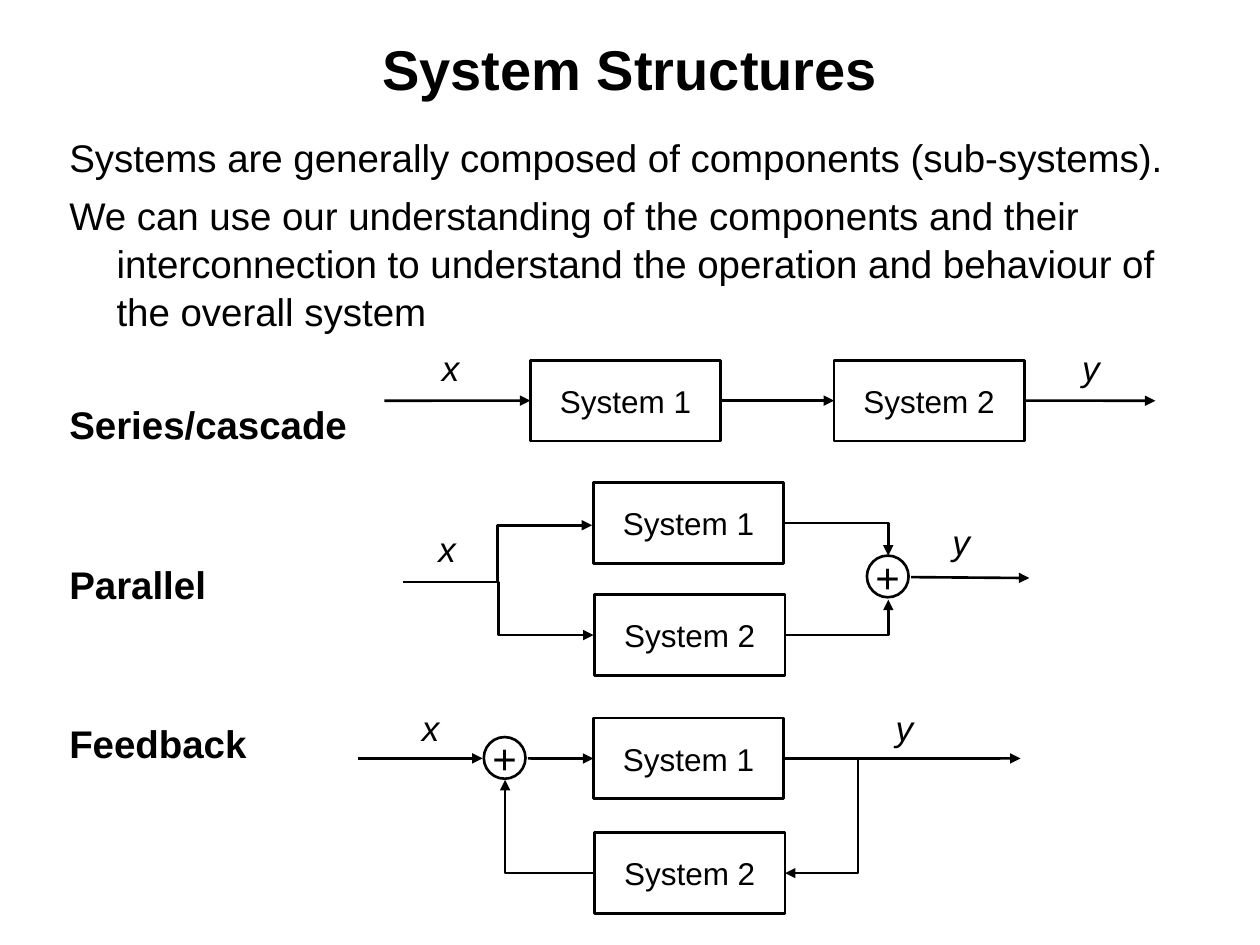
from lxml import etree
from pptx import Presentation
from pptx.dml.color import RGBColor
from pptx.enum import shapes, text
from pptx.oxml import ns
from pptx.util import Pt

COLORS = {"ink": "000000", "paper": "FFFFFF"}
INK = RGBColor.from_string(COLORS["ink"])
FONT = "Arial"
BOX_W, BOX_H, SUM_D = 108.7, 46.1, 23.8
LEFT, RIGHT = 1, 3  # connection sites of a rectangle


def write(para, words, size, bold=False, italic=False):
    span = para.add_run()
    span.text = words
    span.font.name, span.font.size = FONT, Pt(size)
    span.font.bold, span.font.italic = bold, italic
    span.font.color.rgb = INK


def add_node(kind, x, y, w, h, words, size):
    node = page.shapes.add_shape(kind, Pt(x), Pt(y), Pt(w), Pt(h))
    node.shadow.inherit = False
    node.fill.background()
    node.line.color.rgb, node.line.width = INK, Pt(1.5)
    frame = node.text_frame
    frame.word_wrap = False
    frame.vertical_anchor = text.MSO_ANCHOR.MIDDLE
    frame.paragraphs[0].alignment = text.PP_ALIGN.CENTER
    write(frame.paragraphs[0], words, size)
    return node


deck = Presentation()
deck.slide_width, deck.slide_height = Pt(720), Pt(540)
page = deck.slides.add_slide(deck.slide_layouts[1])

# Title
title = page.shapes.title
title.left, title.top, title.width, title.height = Pt(54), Pt(12), Pt(612), Pt(54)
title.text_frame.vertical_anchor = text.MSO_ANCHOR.MIDDLE
title.text_frame.paragraphs[0].alignment = text.PP_ALIGN.CENTER
write(title.text_frame.paragraphs[0], "System Structures", 32, bold=True)

# Introduction and row headings: words, space before, bold
body = page.placeholders[1]
body.left, body.top, body.width, body.height = Pt(32.4), Pt(72), Pt(655.2), Pt(420)
body.text_frame.auto_size = text.MSO_AUTO_SIZE.NONE
lines = [
    ("Systems are generally composed of components (sub-systems).", 0, False),
    ("We can use our understanding of the components and their interconnection "
     "to understand the operation and behaviour of the overall system", 5.5, False),
    ("Series/cascade", 37.5, True),
    ("Parallel", 63.5, True),
    ("Feedback", 63.5, True),
]
for index, (words, gap, bold) in enumerate(lines):
    para = body.text_frame.paragraphs[0] if index == 0 else body.text_frame.add_paragraph()
    props = para._p.get_or_add_pPr()
    props.set("marL", str(Pt(27)))
    props.set("indent", str(-Pt(27)))
    etree.SubElement(props, ns.qn("a:buNone"))
    para.space_before, para.line_spacing = Pt(gap), 1.04
    write(para, words, 22, bold)

# System boxes
boxes = {}
for row, number, x, y in [
    ("series", 1, 303.1, 205.9), ("series", 2, 476.6, 205.9),
    ("parallel", 1, 339.1, 275.8), ("parallel", 2, 339.8, 339.8),
    ("feedback", 1, 339.1, 410.4), ("feedback", 2, 339.8, 475.9),
]:
    boxes[row, number] = add_node(shapes.MSO_SHAPE.RECTANGLE, x, y, BOX_W, BOX_H,
                                  f"System {number}", 18)

# Summing points
for x, y in [(495.4, 317.5), (276.5, 421.2)]:
    point = add_node(shapes.MSO_SHAPE.OVAL, x, y, SUM_D, SUM_D, "+", 24)
    point.fill.solid()
    point.fill.fore_color.rgb = RGBColor.from_string(COLORS["paper"])

# Signal names
for words, x, y in [
    ("x", 245.5, 194.4), ("y", 611.3, 194.4),
    ("x", 243.4, 298.1), ("y", 537.1, 293.8),
    ("x", 234, 400.3), ("y", 504.7, 400.3),
]:
    label = page.shapes.add_textbox(Pt(x), Pt(y), Pt(24.5), Pt(31.7))
    label.text_frame.word_wrap = False
    label.text_frame.auto_size = text.MSO_AUTO_SIZE.SHAPE_TO_FIT_TEXT
    write(label.text_frame.paragraphs[0], words, 20, italic=True)

# Wires: geometry, start, end, arrow end, box joined at start, box joined at end
wires = [
    ("line", (219.6, 229), (303.1, 229), "tail", None, ("series", 1)),
    ("line", (411.8, 229), (476.6, 229), "tail", ("series", 1), ("series", 2)),
    ("line", (585.3, 229), (660.2, 229), "tail", ("series", 2), None),
    ("bentConnector3", (230.4, 332.6), (338.4, 300.2), "tail", None, None),
    ("bentConnector3", (230.4, 332.6), (339.1, 362.9), "tail", None, None),
    ("bentConnector2", (447.8, 298.8), (507.6, 317.5), "tail", None, None),
    ("bentConnector2", (448.6, 362.9), (507.6, 342.7), "tail", None, None),
    ("line", (520.6, 329.8), (588.2, 330.3), "tail", None, None),
    ("line", (204.5, 433.4), (275.8, 433.4), "tail", None, None),
    ("line", (301.7, 433.4), (339.1, 433.4), "tail", None, ("feedback", 1)),
    ("line", (447.8, 433.4), (583.2, 433.4), "tail", ("feedback", 1), None),
    ("bentConnector2", (448.6, 499), (490.3, 433.4), "head", None, None),
    ("bentConnector2", (339.1, 499), (288.7, 445.7), "tail", None, None),
]
for geometry, start, end, arrow, source, target in wires:
    kind = shapes.MSO_CONNECTOR.STRAIGHT if geometry == "line" else shapes.MSO_CONNECTOR.ELBOW
    wire = page.shapes.add_connector(kind, *map(Pt, start + end))
    if source:
        wire.begin_connect(boxes[source], RIGHT)
    if target:
        wire.end_connect(boxes[target], LEFT)
    wire.line.color.rgb, wire.line.width = INK, Pt(1.5)
    props = wire._element.spPr
    props.find(ns.qn("a:prstGeom")).set("prst", geometry)
    etree.SubElement(props.find(ns.qn("a:ln")), ns.qn(f"a:{arrow}End"), type="triangle")
    etree.SubElement(props, ns.qn("a:effectLst"))

deck.save("out.pptx")
